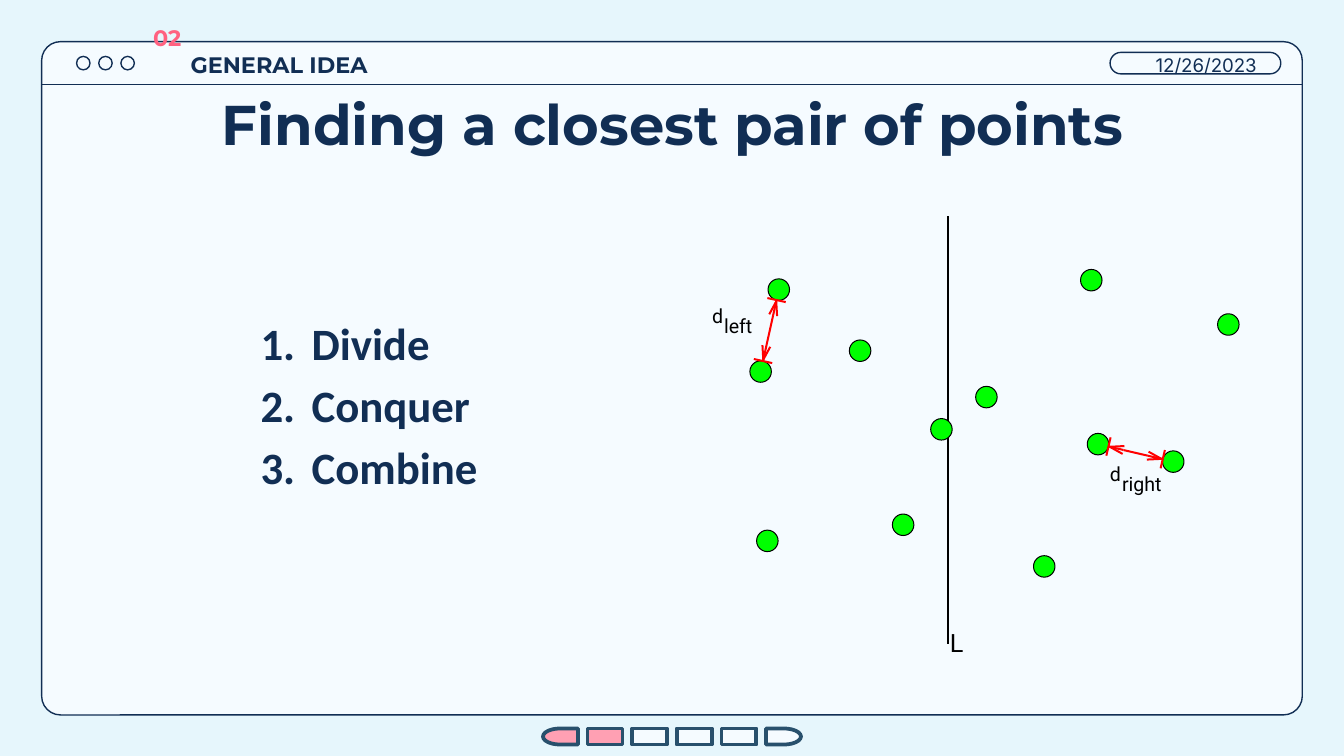
import math

import lxml.etree
import pptx
import pptx.dml.color
import pptx.enum.shapes
import pptx.enum.text
import pptx.oxml.ns
import pptx.util

Color = pptx.dml.color.RGBColor
Kind = pptx.enum.shapes.MSO_SHAPE
Anchor = pptx.enum.text.MSO_ANCHOR
Align = pptx.enum.text.PP_ALIGN
qn = pptx.oxml.ns.qn

SKY = Color(0xE6, 0xF6, 0xFC)
PANEL = Color(0xF5, 0xFB, 0xFF)
NAVY = Color(0x11, 0x2E, 0x54)
SLATE = Color(0x28, 0x50, 0x6C)
PINK = Color(0xFF, 0x61, 0x80)
ROSE = Color(0xFF, 0xA0, 0xB3)
GREEN = Color(0x00, 0xFF, 0x00)
RED = Color(0xFF, 0x00, 0x00)
BLACK = Color(0x00, 0x00, 0x00)

# The grid has 100 columns across the slide, and rows as tall as a column is wide.
WIDTH = pptx.util.Inches(10)
HEIGHT = WIDTH * 9 // 16
CELL = WIDTH // 100


def grid(*cells):
    return [round(n * CELL) for n in cells]


def style(shape, fill, line, weight):
    shape.shadow.inherit = False
    if fill is None:
        shape.fill.background()
    else:
        shape.fill.solid()
        shape.fill.fore_color.rgb = fill
    shape.line.color.rgb = line
    shape.line.width = pptx.util.Pt(weight)


def add_form(slide, kind, box, fill, line, weight):
    form = slide.shapes.add_shape(kind, *grid(*box))
    style(form, fill, line, weight)
    return form


def add_line(slide, start, end, color, weight):
    line = slide.shapes.add_connector(
        pptx.enum.shapes.MSO_CONNECTOR.STRAIGHT, *grid(*start, *end))
    line.line.color.rgb = color
    line.line.width = pptx.util.Pt(weight)
    lxml.etree.SubElement(line._element.spPr, qn("a:effectLst"))


def add_frame(slide, box, inset=1, anchor=Anchor.TOP):
    """Add an empty text box with equal side insets and return its text frame."""
    frame = slide.shapes.add_textbox(*grid(*box)).text_frame
    frame.word_wrap = True
    frame.vertical_anchor = anchor
    frame.margin_left = frame.margin_right = CELL
    frame.margin_top = frame.margin_bottom = round(inset * CELL)
    return frame


def add_run(para, text, font, size, color, bold=False):
    run = para.add_run()
    run.text = text
    run.font.name = font
    run.font.size = pptx.util.Pt(size)
    run.font.color.rgb = color
    run.font.bold = bold


def add_window(slide, box):
    left, top, width, height = box
    panel = add_form(slide, Kind.ROUNDED_RECTANGLE, box, PANEL, NAVY, 0.75)
    panel.adjustments[0] = 0.028
    for i in range(3):
        button = (left + 2.6 + 1.65 * i, top + 1.1, 1, 1)
        add_form(slide, Kind.OVAL, button, None, NAVY, 0.75)
    pill = add_form(slide, Kind.ROUNDED_RECTANGLE,
                    (left + width - 14.3, top + 0.8, 12.7, 1.6), None, NAVY, 0.75)
    pill.adjustments[0] = 0.5
    bar = top + 3.2
    add_line(slide, (left, bar), (left + width, bar), NAVY, 0.75)


def add_header(slide, box):
    left, top, width, height = box
    label = add_frame(slide, (left + 2.8, top, 18.8, height), anchor=Anchor.BOTTOM)
    add_run(label.paragraphs[0], "GENERAL IDEA", "Montserrat", 12, NAVY, True)
    number = add_frame(slide, (left, top - 1.3, 4.2, 3.4), anchor=Anchor.BOTTOM)
    add_run(number.paragraphs[0], "02", "Montserrat", 12, PINK, True)
    date = add_frame(slide, (left + width - 13.8, top + 0.1, 13.8, 3.9))
    para = date.paragraphs[0]
    para.line_spacing = 1.15
    para._p.get_or_add_pPr().set("marL", str(round(1.5 * CELL)))
    add_run(para, "12/26/2023", "Inter", 10, NAVY)


def add_title(slide, box):
    para = add_frame(slide, box).paragraphs[0]
    para.alignment = Align.CENTER
    add_run(para, "Finding a closest pair of points", "Montserrat", 30, NAVY, True)


def add_steps(slide, box):
    frame = add_frame(slide, box)
    for i, step in enumerate(("Divide", "Conquer", "Combine")):
        para = frame.add_paragraph() if i else frame.paragraphs[0]
        para.line_spacing = 1.15
        props = para._p.get_or_add_pPr()
        props.set("marL", str(round(5.3 * CELL)))
        props.set("indent", str(round(-3.8 * CELL)))
        tint = lxml.etree.SubElement(props, qn("a:buClr"))
        lxml.etree.SubElement(tint, qn("a:srgbClr")).set("val", str(NAVY))
        lxml.etree.SubElement(props, qn("a:buFont")).set("typeface", "Calibri")
        lxml.etree.SubElement(props, qn("a:buAutoNum")).set("type", "arabicPeriod")
        add_run(para, step, "Calibri", 24, NAVY, True)


def add_strokes(slide, strokes):
    """Draw open red strokes as one outline."""
    pen = slide.shapes.build_freeform(*grid(*strokes[0][0]))
    for i, stroke in enumerate(strokes):
        if i:
            pen.move_to(*grid(*stroke[0]))
        pen.add_line_segments([grid(*point) for point in stroke[1:]], close=False)
    style(pen.convert_to_shape(), None, RED, 1.08)


def add_span(slide, first, last, gap):
    """Measure between two dots, with a barred arrowhead at each dot's edge."""
    size = math.dist(first, last)
    ux, uy = (last[0] - first[0]) / size, (last[1] - first[1]) / size

    def spot(along, across=0):
        return (first[0] + ux * along - uy * across,
                first[1] + uy * along + ux * across)

    head = 1.15
    add_strokes(slide, [[spot(gap + head), spot(size - gap - head)]])
    for tip, way in ((gap, 1), (size - gap, -1)):
        base = tip + way * head
        add_strokes(slide, [
            [spot(base, -0.3), spot(tip + way * 0.1), spot(base, 0.3)],
            [spot(tip, -0.7), spot(tip, 0.7)],
            [spot(base), spot(tip)],
        ])


def add_plot(slide, box):
    left, top, width, height = box
    dot = 1.6
    dots = [(left + x, top + y) for x, y in (
        (12, 10), (4.6, 11.55), (15.2, 22.95), (5.1, 24.15), (18.05, 15.85),
        (21.4, 13.45), (25.7, 26.05), (29.7, 16.95), (39.4, 8.05),
        (29.2, 4.75), (35.3, 18.25), (5.95, 5.45))]
    axis = left + 18.55
    add_line(slide, (axis, top), (axis, top + height), BLACK, 1.08)
    for x, y in dots:
        add_form(slide, Kind.OVAL, (x - dot / 2, y - dot / 2, dot, dot),
                 GREEN, BLACK, 0.54)
    add_span(slide, dots[1], dots[11], dot / 2)
    add_span(slide, dots[7], dots[10], dot / 2)
    for text, x, y, wide, size in (
            ("L", 17.7, 30.1, 4.4, 13.5),
            ("d", 0, 6, 4.1, 10.5), ("left", 0.9, 6.8, 5.5, 10.5),
            ("d", 29.6, 17.8, 4.1, 10.5), ("right", 30.5, 18.5, 6.5, 10.5)):
        frame = add_frame(slide, (left + x, top + y, wide, size / 3), inset=0.5)
        add_run(frame.paragraphs[0], text, "Roboto", size, BLACK)


def add_progress(slide, box, count=6, done=2):
    left, top, width, height = box
    wide = 2.6
    pitch = (width - wide) / (count - 1)
    for i in range(count):
        kind = Kind.FLOWCHART_DELAY if i in (0, count - 1) else Kind.RECTANGLE
        part = add_form(slide, kind, (left + i * pitch, top, wide, height),
                        ROSE if i < done else PANEL, SLATE, 2)
        if i == 0:
            part.rotation = 180


def main():
    deck = pptx.Presentation()
    deck.slide_width, deck.slide_height = WIDTH, HEIGHT
    slide = deck.slides.add_slide(deck.slide_layouts[6])
    slide.background.fill.solid()
    slide.background.fill.fore_color.rgb = SKY
    add_window(slide, (3.1, 3.1, 93.8, 50.1))
    add_title(slide, (7.9, 5.7, 84.3, 6.3))
    add_steps(slide, (16.9, 21.9, 37.5, 20.8))
    add_plot(slide, (52, 16.1, 40.2, 31.8))
    add_header(slide, (10.4, 2.7, 86.9, 4.1))
    add_progress(slide, (40.4, 54.2, 19.2, 1.2))
    deck.save("out.pptx")


if __name__ == "__main__":
    main()
